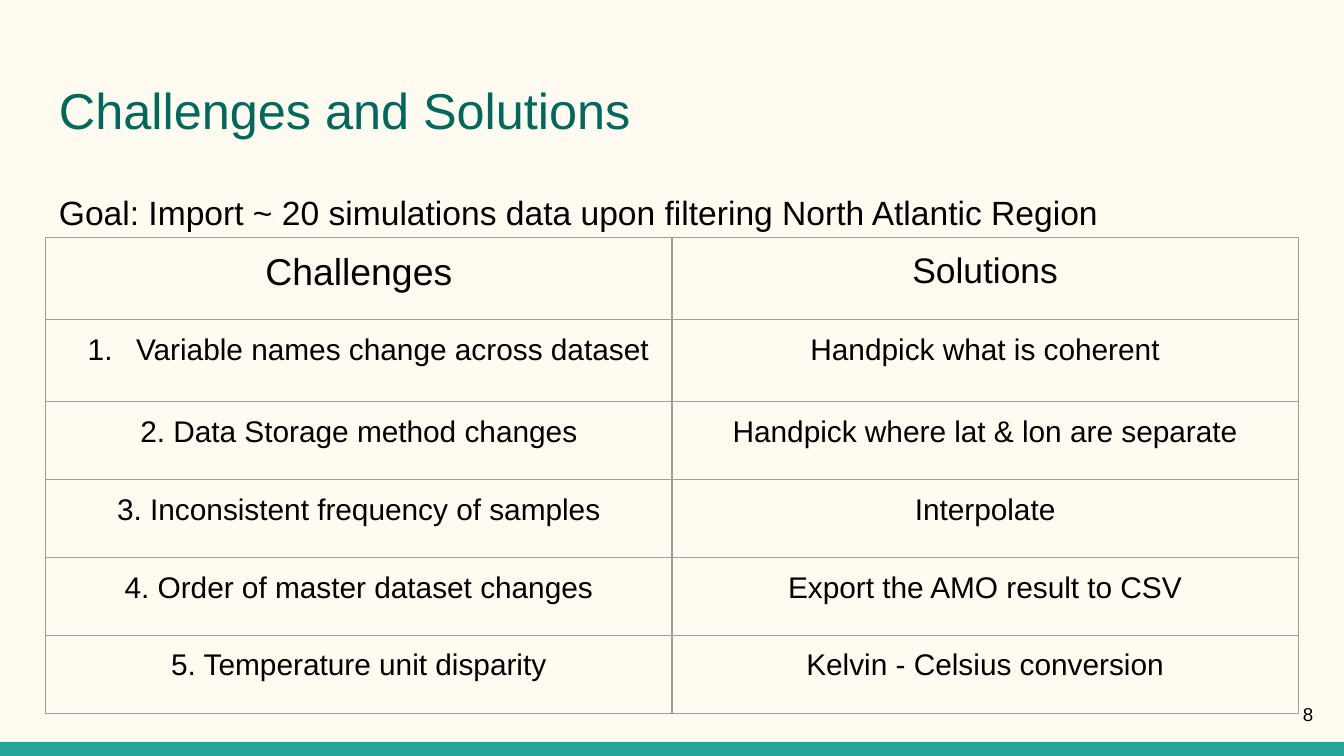
from lxml.etree import SubElement
from pptx import Presentation
from pptx.dml.color import RGBColor
from pptx.enum.shapes import MSO_SHAPE as Shape
from pptx.enum.text import MSO_ANCHOR as Anchor, PP_ALIGN as Align
from pptx.oxml.ns import qn
from pptx.util import Inches, Pt

INK = "000000"
TEAL = "26A69A"
DARK_TEAL = "00695C"
CREAM = "FFFBF0"
GRID = "9E9E9E"
PAGE_WIDTH = 10
PAGE_HEIGHT = PAGE_WIDTH * 9 / 16
LEFT, WIDTH = 0.34, 9.32

ROWS = [
    ("Challenges", "Solutions"),
    ("Variable names change across dataset", "Handpick what is coherent"),
    ("2. Data Storage method changes", "Handpick where lat & lon are separate"),
    ("3. Inconsistent frequency of samples", "Interpolate"),
    ("4. Order of master dataset changes", "Export the AMO result to CSV"),
    ("5. Temperature unit disparity", "Kelvin - Celsius conversion"),
]
ROW_HEIGHTS = [0.61, 0.61, 0.58, 0.58, 0.58, 0.58]
HEADER_SIZES = (20, 19)
BODY_SIZE = 16


def color(value):
    return RGBColor.from_string(value)


class SlideBuilder:
    font_name = "Arial"
    inset = Inches(0.1)

    def __init__(self, page):
        self.page = page

    def background(self, fill):
        self.page.background.fill.solid()
        self.page.background.fill.fore_color.rgb = color(fill)

    def bar(self, left, top, width, height, fill):
        bar = self.page.shapes.add_shape(Shape.RECTANGLE, *map(Inches, (left, top, width, height)))
        bar.shadow.inherit = False
        bar.fill.solid()
        bar.fill.fore_color.rgb = color(fill)
        bar.line.fill.background()

    def pad(self, holder):
        holder.margin_left = holder.margin_right = self.inset
        holder.margin_top = holder.margin_bottom = self.inset

    def style(self, para, size, ink=INK, align=Align.LEFT):
        para.alignment = align
        para.font.name = self.font_name
        para.font.size = Pt(size)
        para.font.color.rgb = color(ink)

    def text(self, left, top, width, height, words, size, ink=INK,
             align=Align.LEFT, anchor=Anchor.TOP):
        box = self.page.shapes.add_textbox(*map(Inches, (left, top, width, height)))
        frame = box.text_frame
        frame.word_wrap = True
        frame.vertical_anchor = anchor
        self.pad(frame)
        para = frame.paragraphs[0]
        para.text = words
        self.style(para, size, ink, align)
        return para

    def number(self, para):
        props = para._p.get_or_add_pPr()
        props.set("marL", str(Inches(0.5)))
        props.set("indent", str(Inches(-0.36)))
        SubElement(props, qn("a:buFont"), typeface=self.font_name)
        SubElement(props, qn("a:buAutoNum"), type="arabicPeriod")

    def border(self, cell):
        props = cell._tc.get_or_add_tcPr()
        for side in ("lnL", "lnR", "lnT", "lnB"):
            line = SubElement(props, qn(f"a:{side}"), w=str(Pt(0.75)))
            fill = SubElement(line, qn("a:solidFill"))
            SubElement(fill, qn("a:srgbClr"), val=GRID)

    def cell(self, cell, words, size, numbered=False):
        self.pad(cell)
        self.border(cell)
        cell.fill.background()
        para = cell.text_frame.paragraphs[0]
        para.text = words
        if numbered:
            self.number(para)
        self.style(para, size, align=Align.CENTER)

    def table(self, left, top, width, rows, heights):
        columns = len(rows[0])
        frame = self.page.shapes.add_table(
            len(rows), columns, *map(Inches, (left, top, width, sum(heights))))
        table = frame.table
        table.first_row = table.horz_banding = False
        for column in table.columns:
            column.width = Inches(width / columns)
        for r, (row, height) in enumerate(zip(rows, heights)):
            table.rows[r].height = Inches(height)
            for c, words in enumerate(row):
                size = HEADER_SIZES[c] if r == 0 else BODY_SIZE
                self.cell(table.cell(r, c), words, size, numbered=(r, c) == (1, 0))


def main():
    deck = Presentation()
    deck.slide_width, deck.slide_height = Inches(PAGE_WIDTH), Inches(PAGE_HEIGHT)
    builder = SlideBuilder(deck.slides.add_slide(deck.slide_layouts[6]))

    builder.background(CREAM)
    builder.bar(0, 5.52, PAGE_WIDTH, PAGE_HEIGHT - 5.52, TEAL)
    builder.text(LEFT, 0.49, WIDTH, 0.67, "Challenges and Solutions", 27, DARK_TEAL)
    goal = builder.text(
        LEFT, 1.28, WIDTH, 3.72,
        "Goal: Import ~ 20 simulations data upon filtering North Atlantic Region", 18)
    goal.line_spacing = 1.15
    goal.space_after = Pt(12)
    builder.table(LEFT, 1.77, WIDTH, ROWS, ROW_HEIGHTS)
    builder.text(9.27, 5.1, 0.6, 0.43, "8", 10, align=Align.RIGHT, anchor=Anchor.MIDDLE)

    deck.save("out.pptx")


if __name__ == "__main__":
    main()
